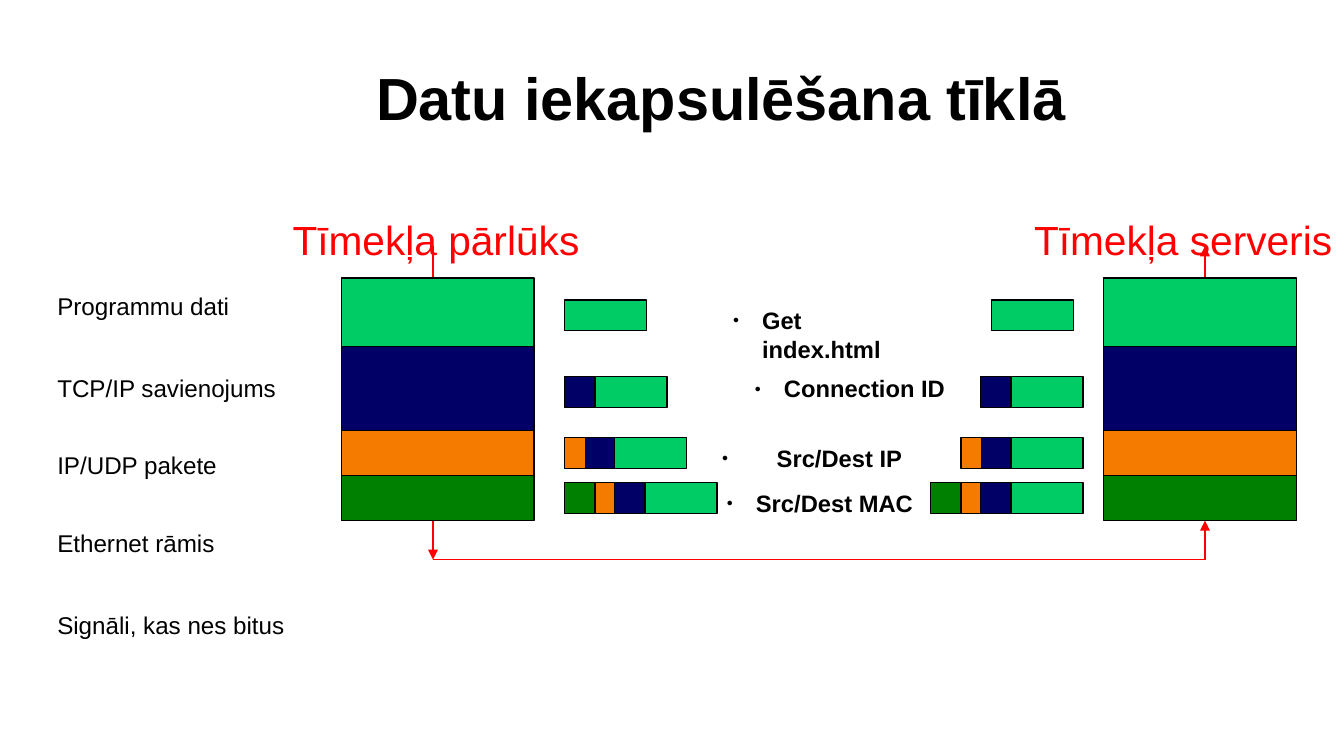
import pptx
import pptx.dml.color
import pptx.enum.shapes
import pptx.enum.text
import pptx.oxml.ns
import pptx.oxml.xmlchemy
import pptx.util

Inches = pptx.util.Inches
Pt = pptx.util.Pt

COLOURS = {
    "data": "00CC66",
    "tcp": "000066",
    "ip": "F47A00",
    "ethernet": "008000",
    "signal": "FF0000",
    "ink": "000000",
}
LAYERS = [("data", 0.56), ("tcp", 0.69), ("ip", 0.37), ("ethernet", 0.37)]
PACKETS = [
    (2.46, 8.8, [("data", 0, 0.67)]),
    (3.09, 8.88, [("data", 0.17, 0.67), ("tcp", 0, 0.25)]),
    (3.59, 8.88, [("data", 0.33, 0.67), ("tcp", 0.08, 0.33), ("ip", 0, 0.17)]),
    (3.96, 8.88, [("data", 0.58, 0.67), ("tcp", 0.33, 0.33), ("ip", 0.08, 0.33),
                  ("ethernet", 0, 0.25)]),
]
HEADERS = [
    ("Get index.html", 5.91, 2.46, 1.79, 0.24),
    ("Connection ID", 6.09, 3.02, 1.76, 0.24),
    ("Src/Dest IP", 5.82, 3.59, 1.68, 0.45),
    ("Src/Dest MAC", 5.86, 3.96, 1.73, 0.24),
]
LABELS = [
    ("Programmu dati", 31.4),
    ("TCP/IP savienojums", 28.4),
    ("IP/UDP pakete", 28.4),
    ("Ethernet rāmis", 31.4),
    ("Signāli, kas nes bitus", 0),
]


def rgb(name):
    """Return the named colour."""
    return pptx.dml.color.RGBColor.from_string(COLOURS[name])


def add_text_box(slide, left, top, width, height, wrap=False):
    """Add an empty text box and return its text frame."""
    shape = slide.shapes.add_textbox(Inches(left), Inches(top), Inches(width), Inches(height))
    shape.text_frame.word_wrap = wrap
    return shape.text_frame


def add_run(paragraph, text, size, colour="ink", bold=False):
    """Add one formatted run to a paragraph."""
    run = paragraph.add_run()
    run.text = text
    run.font.name = "Arial"
    run.font.size = Pt(size)
    run.font.bold = bold
    run.font.color.rgb = rgb(colour)


def add_block(slide, left, top, width, height, colour):
    """Add a filled rectangle with a thin black outline."""
    shape = slide.shapes.add_shape(
        pptx.enum.shapes.MSO_SHAPE.RECTANGLE,
        Inches(left), Inches(top), Inches(width), Inches(height))
    shape.shadow.inherit = False
    shape.fill.solid()
    shape.fill.fore_color.rgb = rgb(colour)
    shape.line.color.rgb = rgb("ink")
    shape.line.width = Pt(0.75)


def add_signal(slide, start, end, arrow=True):
    """Add a red line, with an arrowhead at its end if wanted."""
    connector = slide.shapes.add_connector(
        pptx.enum.shapes.MSO_CONNECTOR.STRAIGHT,
        *(Inches(value) for value in (*start, *end)))
    connector.line.color.rgb = rgb("signal")
    connector.line.width = Pt(0.75)
    properties = connector._element.spPr
    if arrow:
        head = pptx.oxml.xmlchemy.OxmlElement("a:tailEnd")
        head.set("type", "triangle")
        properties.find(pptx.oxml.ns.qn("a:ln")).append(head)
    properties.append(pptx.oxml.xmlchemy.OxmlElement("a:effectLst"))


def add_title(slide, left, top, width, height):
    """Add the centred slide title."""
    frame = add_text_box(slide, left, top, width, height, wrap=True)
    frame.vertical_anchor = pptx.enum.text.MSO_ANCHOR.MIDDLE
    paragraph = frame.paragraphs[0]
    paragraph.alignment = pptx.enum.text.PP_ALIGN.CENTER
    add_run(paragraph, "Datu iekapsulēšana tīklā", 35.1, bold=True)


def add_signal_route(slide, left, top, width, height):
    """Draw the route down one stack, along the wire and up the other."""
    right, bottom = left + width, top + height
    stack_bottom = bottom - 0.32
    add_signal(slide, (left, top), (left, bottom - 0.5))
    add_signal(slide, (right, bottom - 0.5), (right, top))
    add_signal(slide, (left, bottom), (right, bottom), arrow=False)
    add_signal(slide, (left, stack_bottom), (left, bottom))
    add_signal(slide, (right, bottom), (right, stack_bottom))


def add_stack(slide, left, top, width):
    """Draw the four protocol layers on top of one another."""
    for colour, height in LAYERS:
        add_block(slide, left, top, width, height, colour)
        top += height


def add_packet(slide, left, top, height, segments):
    """Draw one packet, each header overlapping the part behind it."""
    for colour, offset, width in segments:
        add_block(slide, left + offset, top, width, height, colour)


def add_header_name(slide, text, left, top, width, indent):
    """Add a bulleted name of the information a layer adds."""
    paragraph = add_text_box(slide, left, top, width, 0.33).paragraphs[0]
    add_run(paragraph, text, 14, bold=True)
    properties = paragraph._p.get_or_add_pPr()
    properties.set("marL", str(Inches(indent)))
    properties.set("indent", str(-Inches(indent)))
    for tag, key, value in [("a:buSzPct", "val", "45000"),
                            ("a:buFont", "typeface", "Arial"),
                            ("a:buChar", "char", "●")]:
        bullet = pptx.oxml.xmlchemy.OxmlElement(tag)
        bullet.set(key, value)
        properties.append(bullet)


def add_heading(slide, text, left, top, width, height):
    """Add the red heading of a stack."""
    frame = add_text_box(slide, left, top, width, height)
    add_run(frame.paragraphs[0], text, 24, "signal")


def add_labels(slide, left, top, width, height):
    """Add the column of layer names."""
    frame = add_text_box(slide, left, top, width, height, wrap=True)
    frame.margin_left = frame.margin_right = frame.margin_top = frame.margin_bottom = 0
    for index, (text, gap) in enumerate(LABELS):
        paragraph = frame.add_paragraph() if index else frame.paragraphs[0]
        paragraph.space_after = Pt(gap)
        add_run(paragraph, text, 14.3)


def main():
    """Build and save the slide."""
    presentation = pptx.Presentation()
    presentation.slide_width = Inches(11.02)
    presentation.slide_height = Inches(6.2)
    slide = presentation.slides.add_slide(presentation.slide_layouts[6])
    add_title(slide, 1.5, 0.17, 8.82, 1.25)
    add_signal_route(slide, 3.55, 2.02, 6.33, 2.57)
    for left in (2.8, 9.05):
        add_stack(slide, left, 2.28, 1.58)
    for top, right, segments in PACKETS:
        length = max(offset + width for colour, offset, width in segments)
        for left in (4.63, right - length):
            add_packet(slide, left, top, 0.25, segments)
    for header in HEADERS:
        add_header_name(slide, *header)
    add_heading(slide, "Tīmekļa pārlūks", 2.3, 1.71, 2.55, 0.5)
    add_heading(slide, "Tīmekļa serveris", 8.38, 1.71, 2.65, 0.5)
    add_labels(slide, 0.47, 2.39, 2.83, 2.54)
    presentation.save("out.pptx")


if __name__ == "__main__":
    main()
